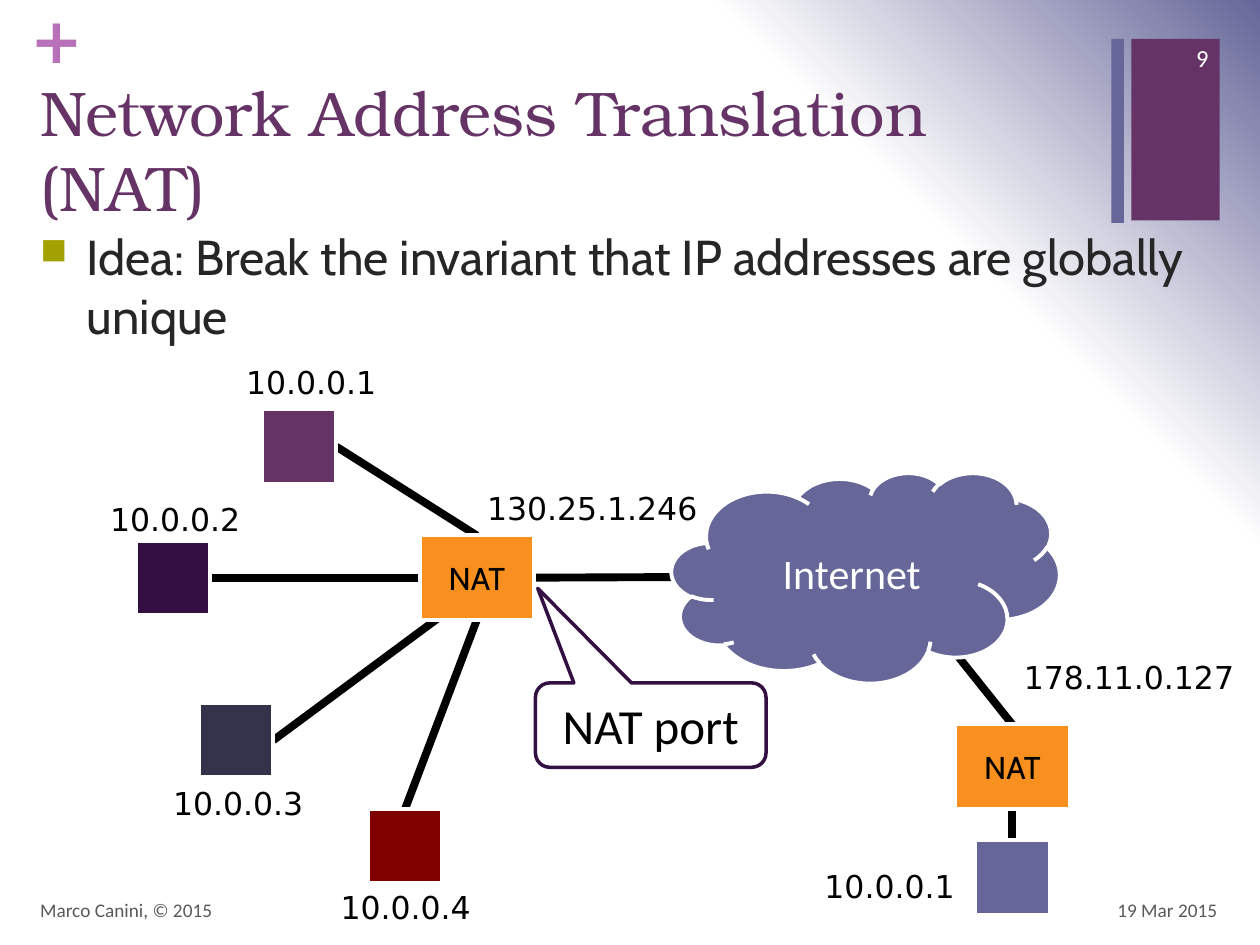
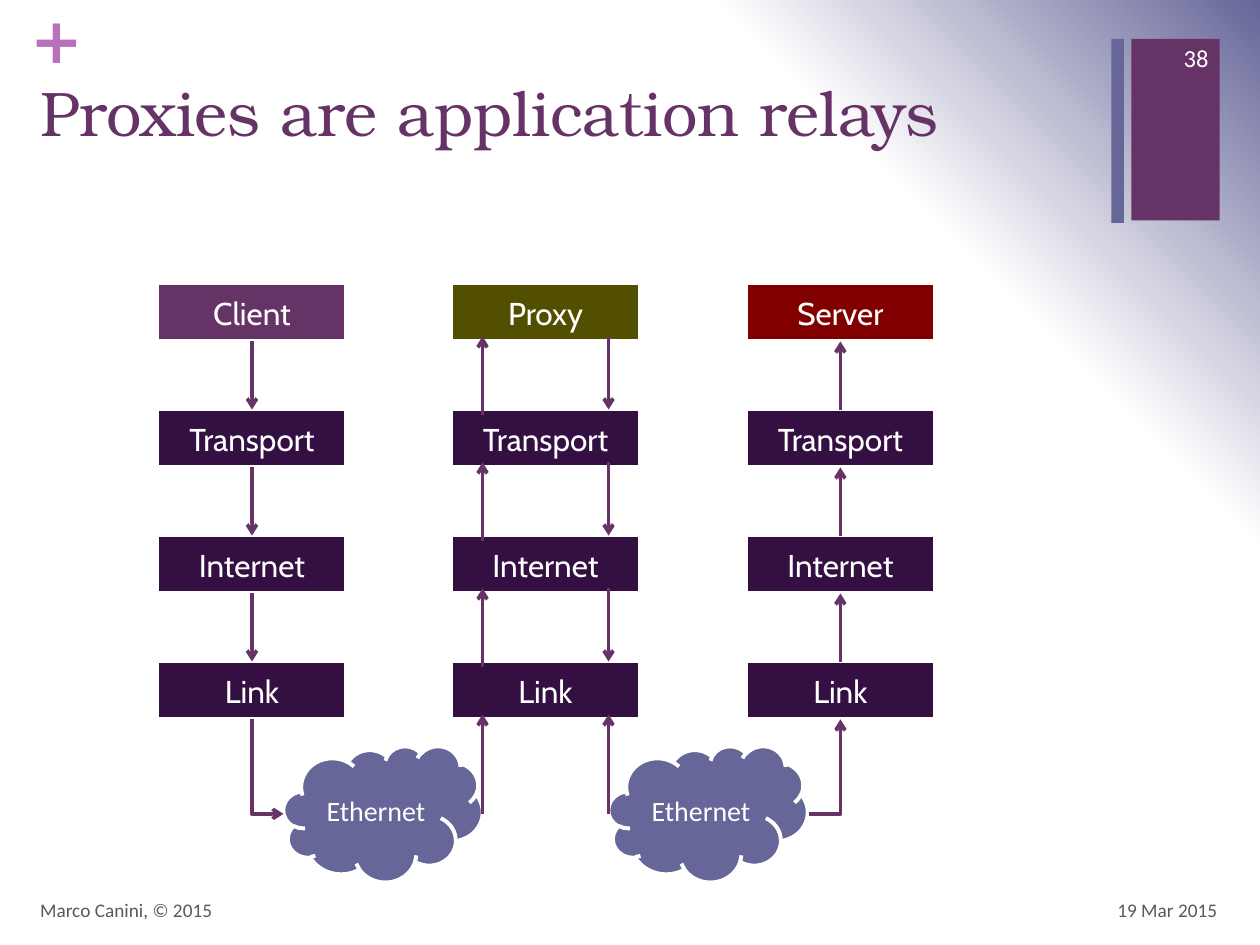
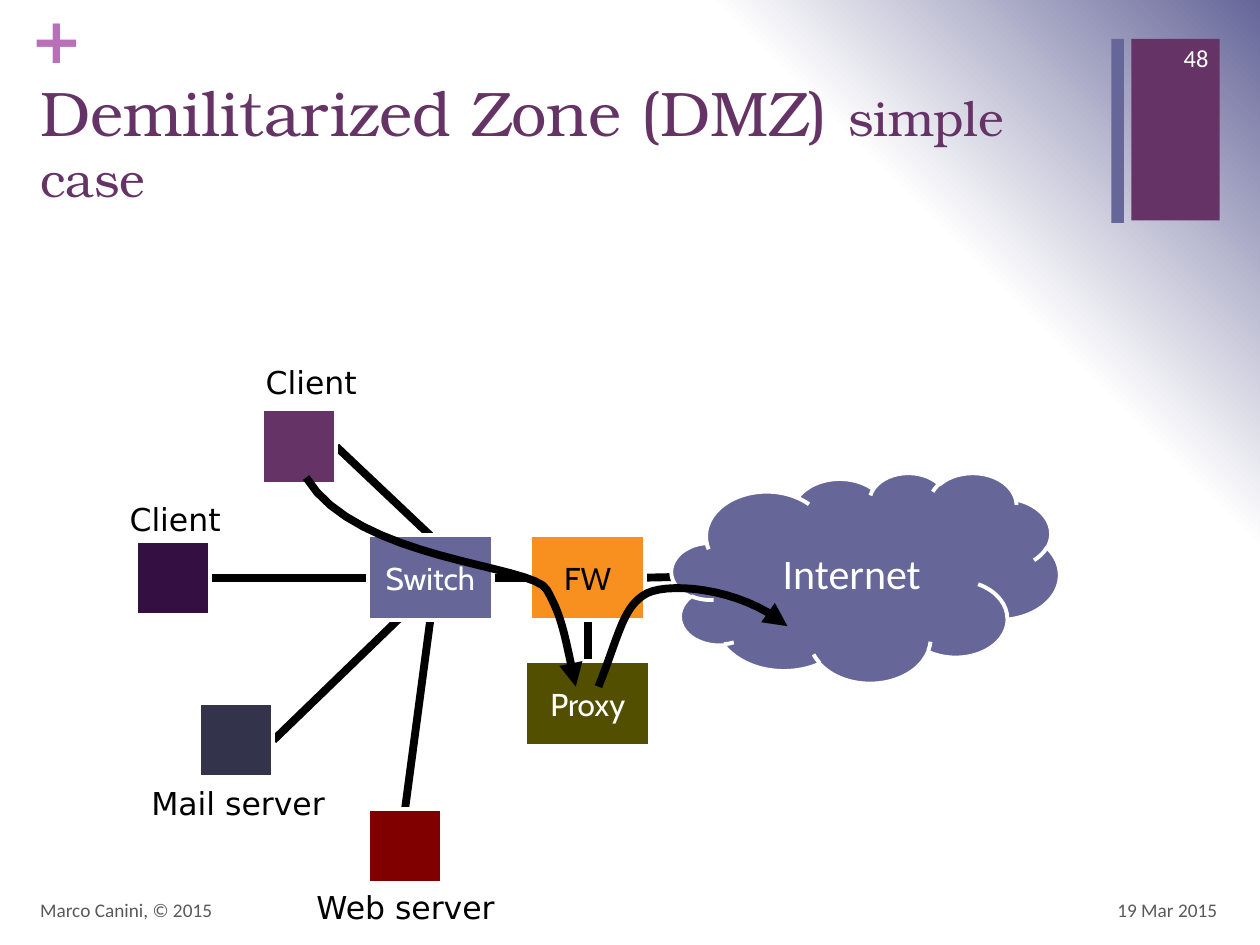
from collections import namedtuple
from lxml.etree import SubElement as Sub
from pptx import Presentation
from pptx.dml.color import RGBColor as RGB
from pptx.enum.shapes import MSO_CONNECTOR as Conn, MSO_SHAPE as Form
from pptx.enum.text import MSO_ANCHOR as Anchor, MSO_AUTO_SIZE as Auto, PP_ALIGN as Align
from pptx.oxml import parse_xml
from pptx.oxml.ns import nsdecls, qn
from pptx.util import Inches, Pt

Box = namedtuple("Box", "x y w h")
INK = {
    "plum": "663366", "slate": "666699", "pink": "B870B8", "night": "330F42",
    "navy": "33334C", "red": "800000", "moss": "525000", "lime": "A3A101",
    "orange": "F7901E", "white": "FFFFFF", "black": "000000",
    "dark": "262626", "grey": "595959",
}
SERIF, SANS, BODY, PLAIN = "TeX Gyre Bonum", "Cabin", "Calibri", "DejaVu Sans"
SIDE = 0.59
CLOUD = Box(5.33, 3.75, 3.08, 1.67)
LAN = Box(0.75, 2.83, 3.2, 4.57)


def color(name):
    """Return the named colour."""
    return RGB.from_string(INK[name])


def place(box):
    """Return the box as lengths."""
    return [Inches(v) for v in box]


def style(para, size, face, ink, align=Align.LEFT):
    """Format a paragraph."""
    para.alignment = align
    font = para.font
    font.size, font.name, font.color.rgb = Pt(size), face, color(ink)


def label(slide, box, text, size, face, ink, align=Align.LEFT, anchor=Anchor.TOP, wrap=True):
    """Add a text box and return its frame."""
    frame = slide.shapes.add_textbox(*place(box)).text_frame
    frame.word_wrap, frame.vertical_anchor = wrap, anchor
    frame.text = text
    style(frame.paragraphs[0], size, face, ink, align)
    return frame


def tag(slide, mid, y, text, width):
    """Add a centred one-line label around a middle."""
    label(slide, Box(mid - width / 2, y, width, 0.4), text, 18, PLAIN, "black",
          Align.CENTER, wrap=False)


def block(slide, box, fill, text="", ink="white", size=18, face=SANS,
          form=Form.RECTANGLE, edge="white", width=2.25):
    """Add a filled shape with centred text."""
    shape = slide.shapes.add_shape(form, *place(box))
    shape.shadow.inherit = False
    shape.fill.solid()
    shape.fill.fore_color.rgb = color(fill)
    if edge:
        shape.line.color.rgb, shape.line.width = color(edge), Pt(width)
    else:
        shape.line.fill.background()
    if text:
        frame = shape.text_frame
        frame.text, frame.vertical_anchor = text, Anchor.MIDDLE
        style(frame.paragraphs[0], size, face, ink, Align.CENTER)
    return shape


def cloud(slide, box, text, size):
    """Add a network cloud."""
    block(slide, box, "slate", text, "white", size, BODY, Form.CLOUD)


def tip(shape, end, kind):
    """Put an arrowhead on a line."""
    Sub(shape.element.spPr.find(qn("a:ln")), qn("a:" + end), type=kind)


def link(slide, start, stop, ink, width, kind=Conn.STRAIGHT):
    """Join two ends, each a point or a shape with its side."""
    ends = [(0, 0) if hasattr(e[0], "left") else (Inches(e[0]), Inches(e[1]))
            for e in (start, stop)]
    line = slide.shapes.add_connector(kind, *ends[0], *ends[1])
    for end, join in ((start, line.begin_connect), (stop, line.end_connect)):
        if hasattr(end[0], "left"):
            join(*end)
    line.line.color.rgb, line.line.width = color(ink), Pt(width)
    Sub(line.element.spPr, qn("a:effectLst"))
    return line


def wire(slide, start, stop):
    """Add a thick cable behind the other shapes."""
    node = link(slide, start, stop, "black", 4.5).element
    node.getparent().insert(2, node)


def arrow(slide, start, stop):
    """Add a thin arrow."""
    tip(link(slide, start, stop, "plum", 2), "tailEnd", "arrow")


def elbow(slide, start, stop, end):
    """Add an arrow that runs sideways and then upright."""
    line = link(slide, start, stop, "plum", 2, Conn.ELBOW)
    line.element.spPr.find(qn("a:prstGeom")).set("prst", "bentConnector2")
    tip(line, end, "arrow")


def curve(slide, start, *parts, steps=16):
    """Draw Bezier parts with an arrowhead at the start."""
    pts, here = [], start
    for a, b, c in parts:
        for i in range(1, steps + 1):
            t = i / steps
            u = 1 - t
            pts.append(tuple(
                Inches(u**3 * p + 3 * u * u * t * q + 3 * u * t * t * r + t**3 * s)
                for p, q, r, s in zip(here, a, b, c)))
        here = c
    path = slide.shapes.build_freeform(*place(start))
    path.add_line_segments(pts, close=False)
    shape = path.convert_to_shape()
    shape.shadow.inherit = False
    shape.fill.background()
    shape.line.color.rgb, shape.line.width = color("black"), Pt(4.5)
    tip(shape, "headEnd", "triangle")


def backdrop(deck):
    """Give the master its corner gradient."""
    back = deck.slide_master.background.fill
    back.gradient()
    old = next(deck.slide_master.element.iter(qn("a:gradFill")))
    stops = "".join(
        f'<a:gs pos="{pos}000"><a:srgbClr val="{INK[ink]}"/></a:gs>'
        for pos, ink in ((0, "white"), (75, "white"), (100, "slate")))
    new = parse_xml(
        f'<a:gradFill {nsdecls("a")} rotWithShape="1"><a:gsLst>{stops}</a:gsLst>'
        '<a:path path="circle"><a:fillToRect t="100000" r="100000"/></a:path></a:gradFill>')
    old.getparent().replace(old, new)


def base(deck, page, head, tail=""):
    """Add a slide with its title, bands and footer."""
    slide = deck.slides.add_slide(deck.slide_layouts[5])
    block(slide, Box(8.98, 0.31, 0.7, 1.44), "plum", edge=None)
    block(slide, Box(8.82, 0.31, 0.1, 1.46), "slate", edge=None)
    plus = label(slide, Box(0.24, 0, 0.29, 0.61), "+", 36, PLAIN, "pink")
    plus.paragraphs[0].font.bold = True
    plus.margin_left = plus.margin_right = plus.margin_top = plus.margin_bottom = 0
    title = slide.shapes.title
    title.left, title.top, title.width, title.height = place(Box(0.22, 0.53, 8.59, 1.22))
    frame = title.text_frame
    frame.text, frame.vertical_anchor, frame.auto_size = head, Anchor.TOP, Auto.NONE
    para = frame.paragraphs[0]
    style(para, 36, SERIF, "plum")
    if tail:
        run = para.add_run()
        run.text, run.font.size = tail, Pt(28)
    for box, text, size, ink, align in (
            (Box(7.43, 7.02, 2.33, 0.4), "19 Mar 2015", 11, "grey", Align.RIGHT),
            (Box(0.22, 7.02, 6.7, 0.4), "Marco Canini, © 2015", 11, "grey", Align.LEFT),
            (Box(9.08, 0.26, 0.61, 0.4), str(page), 14, "white", Align.RIGHT)):
        label(slide, box, text, size, BODY, ink, align, Anchor.MIDDLE)
    return slide


def bullet(slide, box, text):
    """Add a bulleted statement."""
    frame = label(slide, box, "", 28, SANS, "dark")
    para = frame.paragraphs[0]
    para.text = text
    props = para._p.get_or_add_pPr()
    props.set("marL", str(Inches(0.37)))
    props.set("indent", str(Inches(-0.37)))
    Sub(Sub(props, qn("a:buClr")), qn("a:srgbClr"), val=INK["lime"])
    Sub(props, qn("a:buSzPct"), val="75000")
    Sub(props, qn("a:buChar"), char="■")
    style(para, 28, SANS, "dark")


def lan(slide, box, names, hub, entry):
    """Draw four hosts with labels, wired to a hub."""
    spots = ((1.33, 0.42, 1.72, 0, "plum"), (0.33, 1.46, 0.64, 1.09, "night"),
             (0.83, 2.75, 1.14, 3.34, "navy"), (2.17, 3.59, 2.47, 4.17, "red"))
    ends = ((3, (hub, 0)), (3, (hub, 1)), (3, entry), (0, (hub, 2)))
    for (dx, dy, mid, top, ink), (text, width), (side, end) in zip(spots, names, ends):
        host = block(slide, Box(box.x + dx, box.y + dy, SIDE, SIDE), ink)
        tag(slide, box.x + mid, box.y + top, text, width)
        wire(slide, (host, side), end)


def home(slide, box):
    """Draw the small network behind the second router."""
    nat = block(slide, Box(box.x, box.y, 0.91, 0.67), "orange", "NAT", "black")
    host = block(slide, Box(box.x + 0.16, box.y + 0.92, SIDE, SIDE), "slate")
    wire(slide, (host, 0), (nat, 2))
    wire(slide, (nat, 0), (box.x - 0.08, box.y - 0.67))
    tag(slide, box.x - 0.52, box.y + 1.08, "10.0.0.1", 1.28)
    tag(slide, box.x + 1.38, box.y - 0.58, "178.11.0.127", 1.92)


def nat(deck):
    """Build the address translation slide."""
    slide = base(deck, 9, "Network Address Translation (NAT)")
    bullet(slide, Box(0.22, 1.75, 9.54, 5.27),
           "Idea: Break the invariant that IP addresses are globally unique")
    hub = block(slide, Box(3.33, 4.25, 0.91, 0.67), "orange", "NAT", "black")
    lan(slide, LAN, [(f"10.0.0.{i}", 1.28) for i in range(1, 5)], hub, (3.58, 4.83))
    wire(slide, (hub, 3), (5.34, 4.58))
    home(slide, Box(7.58, 5.75, 0.91, 1.51))
    cloud(slide, CLOUD, "Internet", 24)
    tag(slide, 4.7, 3.83, "130.25.1.246", 1.92)
    note = block(slide, Box(4.25, 5.42, 1.83, 0.67), "white", "NAT port", "black", 28, BODY,
                 Form.ROUNDED_RECTANGULAR_CALLOUT, "night", 2)
    for i, val in enumerate((-0.49, -1.62, 0.17)):
        note.adjustments[i] = val


def stack(slide, box, top, ink):
    """Draw one column of layers and return its boxes."""
    names = (top, "Transport", "Internet", "Link")
    return [block(slide, Box(box.x, box.y + i, box.w, 0.46), "night" if i else ink, name)
            for i, name in enumerate(names)]


def relay(slide, box):
    """Draw the paths up and down through the proxy."""
    up, down = box.x + 0.25, box.x + 1.25
    for i in range(3):
        y = box.y + i
        arrow(slide, (up, y + 1.04), (up, y + 0.42))
        arrow(slide, (down, y + 0.42), (down, y + 1))
    for x in (up, down):
        arrow(slide, (x, box.y + 4.21), (x, box.y + 3.42))


def proxy(deck):
    """Build the relay slide."""
    slide = base(deck, 38, "Proxies are application relays")
    cols = [Box(x, 2.25, 1.5, 3.46) for x in (1.25, 3.58, 5.92)]
    tops = (("Client", "plum"), ("Proxy", "moss"), ("Server", "red"))
    client, _, server = [stack(slide, col, *top) for col, top in zip(cols, tops)]
    for high, low in zip(client, client[1:]):
        arrow(slide, (high, 2), (low, 0))
    for high, low in zip(server, server[1:]):
        arrow(slide, (low, 0), (high, 2))
    for x in (2.25, 4.83):
        cloud(slide, Box(x, 5.92, 1.58, 1.08), "Ethernet", 16)
    relay(slide, cols[1])
    elbow(slide, (2.25, 6.46), (2, 5.71), "headEnd")
    elbow(slide, (6.42, 6.46), (6.67, 5.71), "tailEnd")


def zone(deck):
    """Build the demilitarized zone slide."""
    slide = base(deck, 48, "Demilitarized Zone (DMZ) ", "simple case")
    hub = block(slide, Box(2.92, 4.25, 0.99, 0.67), "slate", "Switch")
    names = (("Client", 0.93), ("Client", 0.93), ("Mail server", 1.59), ("Web server", 1.63))
    lan(slide, LAN, names, hub, (3.25, 4.83))
    cloud(slide, CLOUD, "Internet", 24)
    wall = block(slide, Box(4.21, 4.25, 0.91, 0.67), "orange", "FW", "black")
    gate = block(slide, Box(4.17, 5.25, 0.99, 0.67), "moss", "Proxy")
    wire(slide, (hub, 3), (wall, 1))
    wire(slide, (wall, 3), (5.34, 4.58))
    wire(slide, (gate, 0), (wall, 2))
    curve(slide, (6.25, 4.97), ((5.87, 4.65), (5.25, 4.61), (5.1, 4.73)),
          ((4.94, 4.84), (4.91, 5.05), (4.75, 5.45)))
    curve(slide, (4.57, 5.45), ((4.47, 4.97), (4.45, 4.88), (4.34, 4.68)),
          ((4.23, 4.48), (2.83, 4.45), (2.43, 3.79)))


def main():
    """Build and save the slides."""
    deck = Presentation()
    deck.slide_width, deck.slide_height = Inches(10), Inches(7.5)
    backdrop(deck)
    for build in (nat, proxy, zone):
        build(deck)
    deck.save("out.pptx")


if __name__ == "__main__":
    main()
